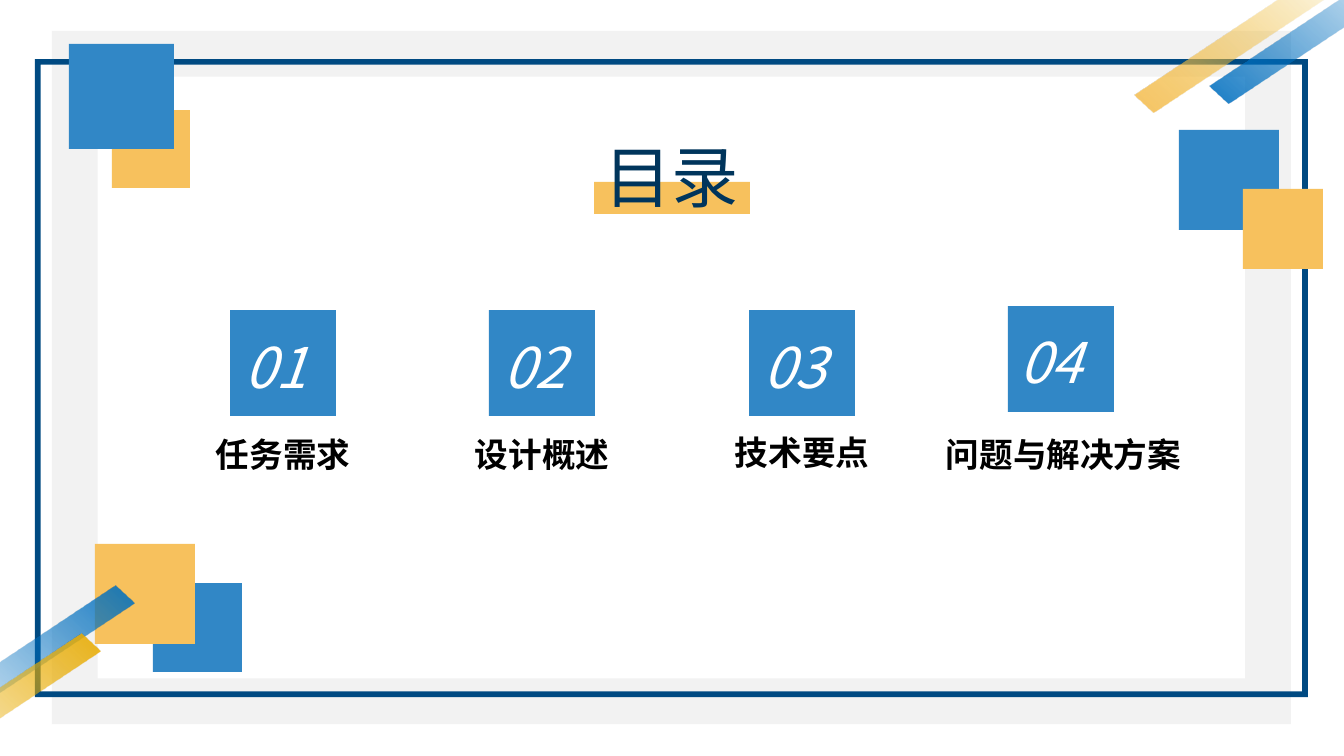
from dataclasses import dataclass

import lxml.etree
import pptx
import pptx.dml.color
import pptx.enum.shapes
import pptx.enum.text
import pptx.oxml.ns
import pptx.shapes.autoshape
import pptx.slide
import pptx.util

RGBColor = pptx.dml.color.RGBColor
SHAPE = pptx.enum.shapes.MSO_SHAPE
qn = pptx.oxml.ns.qn

BLUE = RGBColor(0x31, 0x87, 0xC6)
GOLD = RGBColor(0xF7, 0xC1, 0x5D)
GREY = RGBColor(0xF2, 0xF2, 0xF2)
NAVY = RGBColor(0x00, 0x4A, 0x82)
TITLE_NAVY = RGBColor(0x00, 0x35, 0x5C)
STRIPE_BLUE = RGBColor(0x00, 0x70, 0xC0)
STRIPE_GOLD = RGBColor(0xE9, 0xAC, 0x01)
WHITE = RGBColor(0xFF, 0xFF, 0xFF)
BLACK = RGBColor(0x00, 0x00, 0x00)

FONT = "Noto Sans CJK SC"
EMU_PER_PX = 914400 / 100.8
TILE_SIDE = 106
TILE_LEFT = 230
TILE_SPAN = 778  # first tile to last tile


@dataclass(frozen=True)
class Area:
    left: int
    top: int
    width: int
    height: int

    def lengths(self) -> list[pptx.util.Emu]:
        return [px(n) for n in (self.left, self.top, self.width, self.height)]


@dataclass(frozen=True)
class Frame:
    area: Area
    thickness: float
    color: RGBColor


@dataclass(frozen=True)
class Square:
    left: int
    top: int
    side: int
    color: RGBColor


@dataclass(frozen=True)
class Stripe:
    left: int
    top: int
    rotation: float
    color: RGBColor
    faded: RGBColor


@dataclass(frozen=True)
class Chapter:
    label: str
    label_area: Area
    tile_top: int = 310
    number_left: int = 5
    number_top: int = 328


FRAMES = [
    Frame(Area(52, 31, 1239, 693), 0.066, GREY),
    Frame(Area(35, 59, 1273, 638), 0.009, NAVY),
]
SQUARES = [
    Square(1179, 130, 100, BLUE),
    Square(112, 110, 78, GOLD),
    Square(153, 583, 89, BLUE),
    Square(69, 44, 105, BLUE),
    Square(95, 544, 100, GOLD),
    Square(1243, 189, 80, GOLD),
]
STRIPES = [
    Stripe(-184, 660, 312.9, STRIPE_BLUE, STRIPE_BLUE),
    Stripe(-218, 708, 312.9, STRIPE_GOLD, STRIPE_GOLD),
    Stripe(1185, -53, 132.9, STRIPE_BLUE, STRIPE_BLUE),
    Stripe(1110, -44, 132.9, GOLD, STRIPE_GOLD),
]
CHAPTERS = [
    Chapter("任务需求", Area(206, 429, 154, 50)),
    Chapter("设计概述", Area(465, 429, 154, 50)),
    Chapter("技术要点", Area(725, 427, 154, 50)),
    Chapter("问题与解决方案", Area(936, 429, 255, 50), 306, 2, 323),
]


def px(count: int) -> pptx.util.Emu:
    return pptx.util.Emu(round(count * EMU_PER_PX))


def add_filled(page: pptx.slide.Slide, kind: SHAPE, area: Area,
               color: RGBColor) -> pptx.shapes.autoshape.Shape:
    shape = page.shapes.add_shape(kind, *area.lengths())
    shape.shadow.inherit = False
    shape.fill.solid()
    shape.fill.fore_color.rgb = color
    shape.line.fill.background()
    return shape


def add_stripe(page: pptx.slide.Slide, stripe: Stripe) -> None:
    """Draw a mirrored diagonal stripe that fades out to transparent."""
    area = Area(stripe.left, stripe.top, 343, 82)
    shape = add_filled(page, SHAPE.DIAGONAL_STRIPE, area, stripe.color)
    shape.adjustments[0] = 0.678
    shape.rotation = stripe.rotation
    shape.element.spPr.find(qn("a:xfrm")).set("flipH", "1")
    shape.fill.gradient()
    shape.fill.gradient_angle = 0
    start, end = shape.fill.gradient_stops
    start.color.rgb = stripe.color
    start.position = 0
    end.color.rgb = stripe.faded
    end.position = 0.68
    end_color = list(shape.element.spPr.iter(qn("a:srgbClr")))[-1]
    lxml.etree.SubElement(end_color, qn("a:alpha")).set("val", "0")


def write(box: pptx.shapes.autoshape.Shape, text: str, *, size: int,
          color: RGBColor, bold: bool = False, italic: bool = False) -> None:
    frame = box.text_frame
    frame.word_wrap = False
    frame.auto_size = pptx.enum.text.MSO_AUTO_SIZE.NONE
    frame.vertical_anchor = pptx.enum.text.MSO_ANCHOR.TOP
    para = frame.paragraphs[0]
    para.alignment = pptx.enum.text.PP_ALIGN.LEFT
    span = para.add_run()
    span.text = text
    span.font.name = FONT
    span.font.size = pptx.util.Pt(size)
    span.font.bold = bold
    span.font.italic = italic
    span.font.color.rgb = color
    for properties in box.element.iter(qn("a:rPr")):
        lxml.etree.SubElement(properties, qn("a:ea")).set("typeface", FONT)


def add_title(page: pptx.slide.Slide, text: str) -> None:
    add_filled(page, SHAPE.RECTANGLE, Area(594, 182, 156, 32), GOLD)
    title = page.shapes.title
    title.left, title.top, title.width, title.height = Area(594, 130, 156, 92).lengths()
    write(title, text, size=48, color=TITLE_NAVY)
    title.element.getparent().append(title.element)  # in front of the gold bar


def add_chapter(page: pptx.slide.Slide, index: int, chapter: Chapter) -> None:
    left = TILE_LEFT + round(index * TILE_SPAN / (len(CHAPTERS) - 1))
    label = page.shapes.add_textbox(*chapter.label_area.lengths())
    write(label, chapter.label, size=24, color=BLACK, bold=True)
    tile = Area(left, chapter.tile_top, TILE_SIDE, TILE_SIDE)
    add_filled(page, SHAPE.RECTANGLE, tile, BLUE)
    number_area = Area(left + chapter.number_left, chapter.number_top, 87, 78)
    number = page.shapes.add_textbox(*number_area.lengths())
    write(number, f"{index + 1:02}", size=40, color=WHITE, italic=True)


def main() -> None:
    deck = pptx.Presentation()
    deck.slide_width, deck.slide_height = px(1344), px(756)
    page = deck.slides.add_slide(deck.slide_layouts.get_by_name("Title Only"))
    for frame in FRAMES:
        shape = add_filled(page, SHAPE.FRAME, frame.area, frame.color)
        shape.adjustments[0] = frame.thickness
    for square in SQUARES:
        area = Area(square.left, square.top, square.side, square.side)
        add_filled(page, SHAPE.RECTANGLE, area, square.color)
    for stripe in STRIPES:
        add_stripe(page, stripe)
    add_title(page, "目录")
    for index, chapter in enumerate(CHAPTERS):
        add_chapter(page, index, chapter)
    deck.save("out.pptx")


if __name__ == "__main__":
    main()
